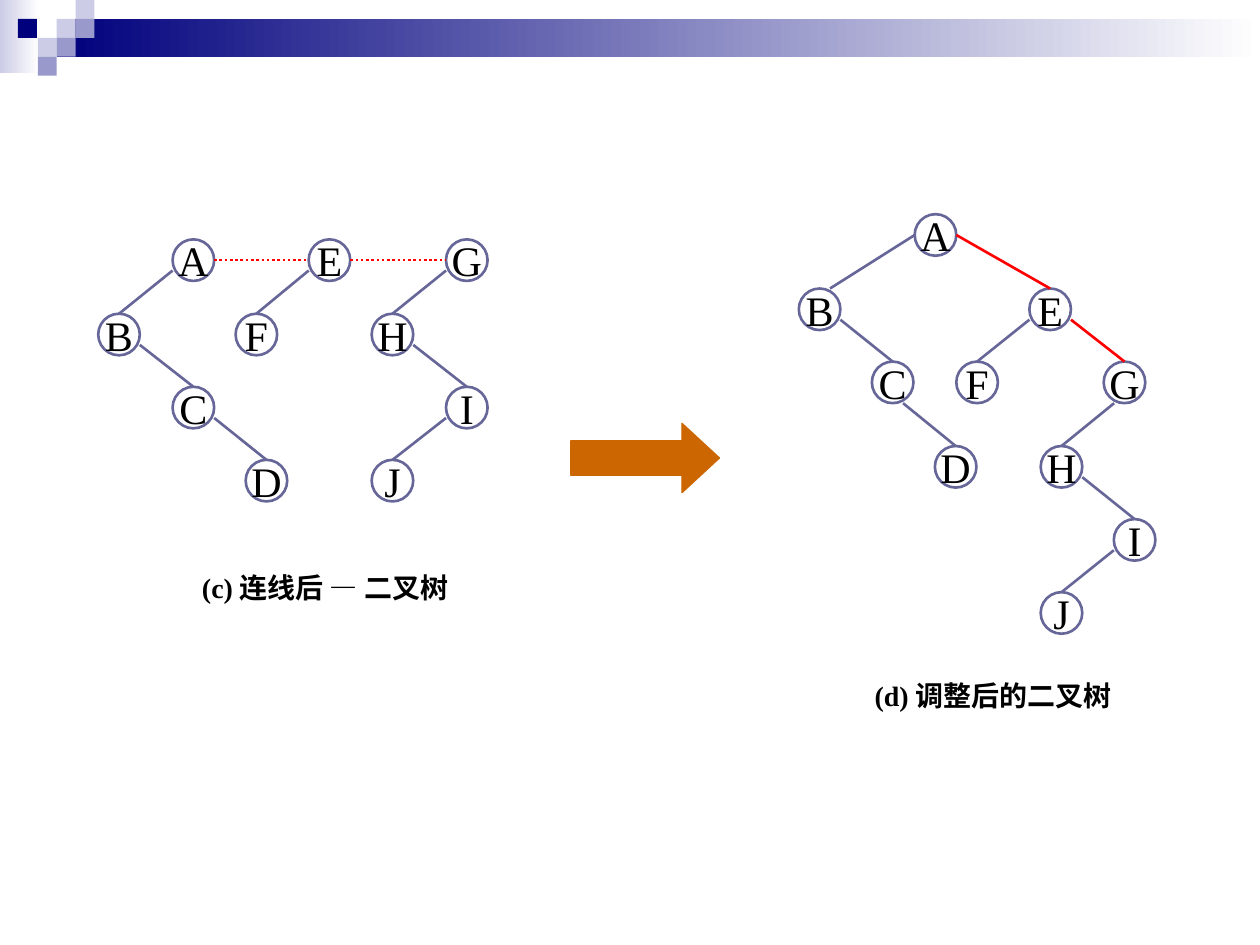
from typing import NamedTuple

import pptx
import pptx.dml.color
import pptx.enum.dml
import pptx.enum.shapes
import pptx.enum.text
import pptx.oxml
import pptx.oxml.ns
import pptx.util
from pptx.util import Inches

SHAPE = pptx.enum.shapes.MSO_SHAPE
TEXT = pptx.enum.text
FONT = "Times New Roman"
COLORS = {
    "navy": "00007D", "mid": "9999CC", "pale": "CCCCE6", "white": "FFFFFF",
    "edge": "666699", "red": "FF0000", "arrow": "CC6600", "black": "000000",
}
SIZE = 0.33  # node diameter
TILE = 0.15  # side of a header square

# Points on a node, as fractions of its width and height
TOP, LEFT, RIGHT = (0.5, 0), (0, 0.5), (1, 0.5)
LOW_LEFT, LOW_RIGHT = (0, 0.75), (1, 0.75)
FOOT_LEFT, FOOT_RIGHT = (0.25, 1), (0.75, 1)
TOP_RIGHT = (0.75, 0)


class Node(NamedTuple):
    name: str
    x: float
    y: float


class Edge(NamedTuple):
    ends: str
    start: tuple[float, float]
    stop: tuple[float, float] = TOP
    color: str = "edge"
    dotted: bool = False


class Tree(NamedTuple):
    nodes: list[Node]
    edges: list[Edge]
    title: str
    x: float
    y: float


# Edges that both trees share
COMMON = [
    Edge("BC", LOW_RIGHT), Edge("EF", LOW_LEFT),
    Edge("HI", LOW_RIGHT), Edge("IJ", LOW_LEFT),
]
TREES = [
    Tree(
        [Node("A", 1.37, 1.9), Node("B", 0.78, 2.49), Node("C", 1.37, 3.07),
         Node("D", 1.95, 3.65), Node("E", 2.45, 1.9), Node("F", 1.87, 2.49),
         Node("G", 3.54, 1.9), Node("H", 2.95, 2.49), Node("I", 3.54, 3.07),
         Node("J", 2.95, 3.65)],
        COMMON + [
            Edge("AB", LOW_LEFT), Edge("CD", LOW_RIGHT), Edge("GH", LOW_LEFT),
            Edge("AE", RIGHT, LEFT, "red", True),
            Edge("EG", RIGHT, LEFT, "red", True)],
        "(c) 连线后 — 二叉树", 1.37, 4.48),
    Tree(
        [Node("A", 7.26, 1.7), Node("B", 6.34, 2.29), Node("C", 6.92, 2.87),
         Node("D", 7.42, 3.54), Node("E", 8.17, 2.29), Node("F", 7.59, 2.87),
         Node("G", 8.76, 2.87), Node("H", 8.26, 3.54), Node("I", 8.84, 4.12),
         Node("J", 8.26, 4.7)],
        COMMON + [
            Edge("AB", LEFT, TOP_RIGHT), Edge("CD", FOOT_RIGHT),
            Edge("GH", FOOT_LEFT), Edge("AE", RIGHT, TOP, "red"),
            Edge("EG", LOW_RIGHT, TOP, "red")],
        "(d) 调整后的二叉树", 6.67, 5.34),
]


def rgb(name: str) -> pptx.dml.color.RGBColor:
    return pptx.dml.color.RGBColor.from_string(COLORS[name])


def add_shape(slide, kind, x: float, y: float, w: float, h: float, fill: str):
    shape = slide.shapes.add_shape(kind, Inches(x), Inches(y), Inches(w), Inches(h))
    shape.shadow.inherit = False
    shape.fill.solid()
    shape.fill.fore_color.rgb = rgb(fill)
    shape.line.fill.background()
    return shape


def set_line(shape, color: str, width: float) -> None:
    shape.line.color.rgb = rgb(color)
    shape.line.width = pptx.util.Pt(width)


def set_text(frame, text: str, size: int, bold: bool = False) -> None:
    par = frame.paragraphs[0]
    par.text = text
    par.alignment = TEXT.PP_ALIGN.CENTER
    par.font.name = FONT
    par.font.size = pptx.util.Pt(size)
    par.font.bold = bold
    par.font.color.rgb = rgb("black")


def add_fade(slide, x: float, y: float, w: float, h: float, color: str) -> None:
    """Draw a bar that fades to white from left to right."""
    bar = add_shape(slide, SHAPE.RECTANGLE, x, y, w, h, color)
    bar.fill.gradient()
    bar.fill.gradient_angle = 0
    for stop, name in zip(bar.fill.gradient_stops, (color, "white")):
        stop.color.rgb = rgb(name)


def add_header(slide) -> None:
    add_fade(slide, 0, 0, 0.31, 0.58, "pale")
    add_fade(slide, 0.45, TILE, 9.55, 2 * TILE, "navy")
    tiles = [(3, 1, "pale"), (4, 0, "pale"), (4, 1, "mid"), (2, 2, "pale"),
             (0.95, 1, "navy"), (3, 2, "mid"), (2, 3, "mid")]
    for col, row, color in tiles:
        add_shape(slide, SHAPE.RECTANGLE, col * TILE, row * TILE, TILE, TILE, color)


def add_node(slide, node: Node):
    shape = add_shape(slide, SHAPE.OVAL, node.x, node.y, SIZE, SIZE, "white")
    set_line(shape, "edge", 1.5)
    frame = shape.text_frame
    frame.word_wrap = False
    frame.vertical_anchor = TEXT.MSO_ANCHOR.MIDDLE
    set_text(frame, node.name, 24)
    return shape


def add_edge(slide, edge: Edge, nodes: dict[str, Node], ovals: dict) -> None:
    head, tail = (nodes[name] for name in edge.ends)
    points = [
        Inches(value + SIZE * part)
        for node, spot in ((head, edge.start), (tail, edge.stop))
        for value, part in zip((node.x, node.y), spot)
    ]
    line = slide.shapes.add_connector(
        pptx.enum.shapes.MSO_CONNECTOR.STRAIGHT, *points)
    if edge.stop == TOP:
        line.end_connect(ovals[tail.name], 0)
    set_line(line, edge.color, 1.5)
    if edge.dotted:
        line.line.dash_style = pptx.enum.dml.MSO_LINE.ROUND_DOT
    props = line._element.spPr
    props.append(pptx.oxml.parse_xml(
        f'<a:effectLst {pptx.oxml.ns.nsdecls("a")}/>'))


def add_title(slide, tree: Tree) -> None:
    box = slide.shapes.add_textbox(
        Inches(tree.x), Inches(tree.y), Inches(2.42), Inches(0.37))
    frame = box.text_frame
    frame.word_wrap = True
    frame.auto_size = TEXT.MSO_AUTO_SIZE.SHAPE_TO_FIT_TEXT
    set_text(frame, tree.title, 16, bold=True)


def add_tree(slide, tree: Tree) -> None:
    nodes = {node.name: node for node in tree.nodes}
    ovals = {node.name: add_node(slide, node) for node in tree.nodes}
    for edge in tree.edges:
        add_edge(slide, edge, nodes, ovals)
    add_title(slide, tree)


def main() -> None:
    deck = pptx.Presentation()
    deck.slide_width, deck.slide_height = Inches(10), Inches(7.5)
    slide = deck.slides.add_slide(deck.slide_layouts[6])
    add_header(slide)
    for tree in TREES:
        add_tree(slide, tree)
    arrow = add_shape(slide, SHAPE.RIGHT_ARROW, 4.53, 3.36, 1.18, 0.55, "arrow")
    arrow.adjustments[0], arrow.adjustments[1] = 0.5, 0.54
    set_line(arrow, "arrow", 0.75)
    deck.save("out.pptx")


if __name__ == "__main__":
    main()
